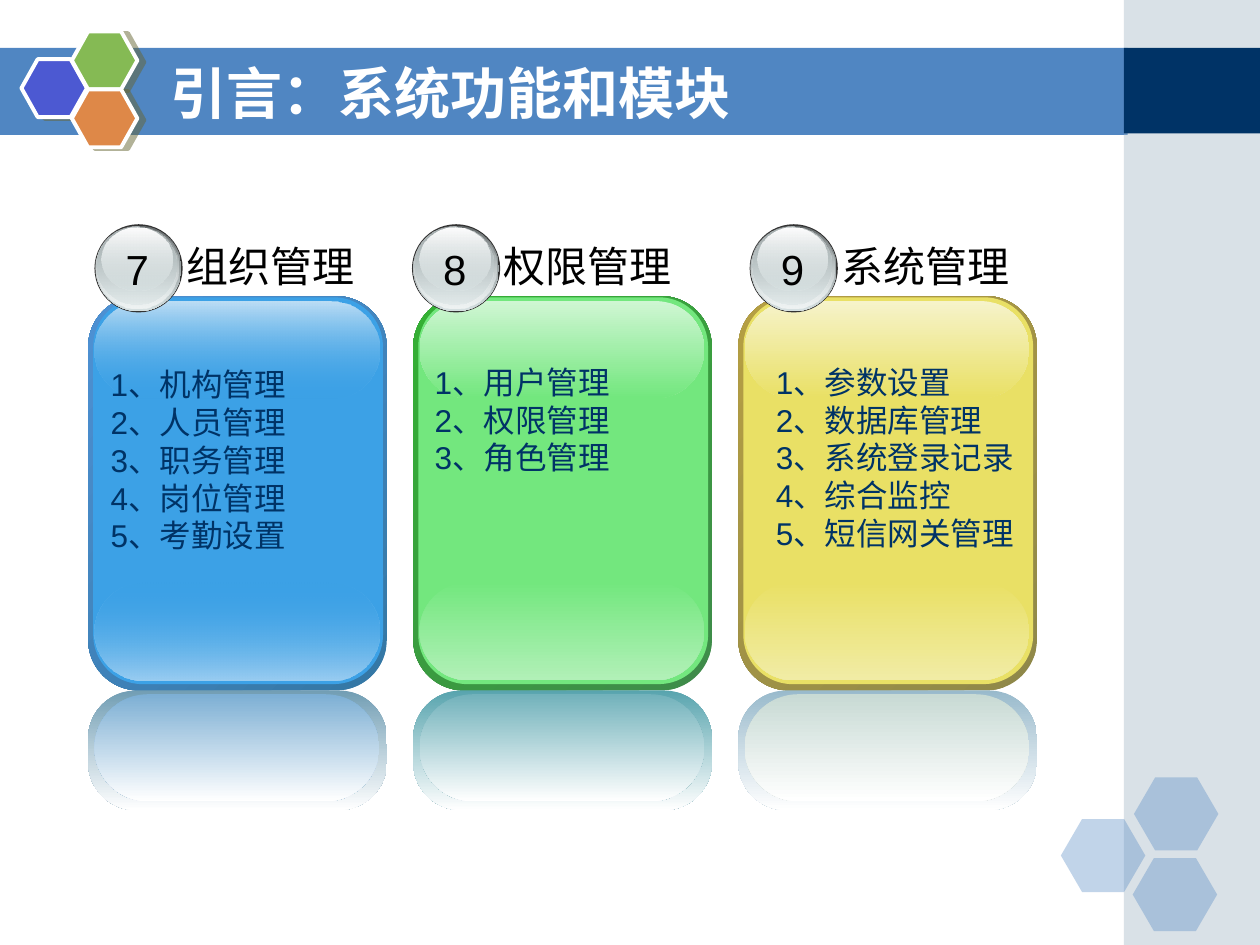
from dataclasses import dataclass
from typing import NamedTuple

from pptx import Presentation
from pptx import util as u
from pptx.dml.color import RGBColor
from pptx.enum import shapes, text
from pptx.oxml import parse_xml
from pptx.oxml.ns import nsdecls, qn
from pptx.oxml.xmlchemy import OxmlElement


class Box(NamedTuple):
    """Left, top, width and height in grid cells."""
    left: float
    top: float
    width: float
    height: float


class Tone(NamedTuple):
    color: str
    alpha: int = 100


@dataclass(frozen=True)
class Theme:
    banner: str = "5086C2"
    navy: str = "003366"
    side: str = "A0B5C4"
    white: str = "FFFFFF"
    black: str = "000000"
    shadow: str = "666633"
    title_size: int = 32
    heading_size: int = 24
    item_size: int = 18
    title_font: str = "DejaVu Sans"
    body_font: str = "Arial"
    asian_font: str = "Noto Sans CJK SC"


@dataclass(frozen=True)
class Palette:
    rim: tuple[Tone, Tone]
    body: str
    low_gloss: str
    high_gloss: str
    gloss_alpha: int
    mirror: str
    mirror_gloss: str


@dataclass(frozen=True)
class Module:
    number: str
    name: str
    items: tuple[str, ...]
    badge_left: float
    items_left: float
    items_top: float
    palette: Palette


class Layer(NamedTuple):
    box: Box
    tones: tuple[Tone, ...]


THEME = Theme()
COLUMNS, ROWS = 10, 7.5
CARD_LEFT, CARD_STEP, CARD_WIDTH = 0.7, 2.58, 2.37
BADGE_TOP = 1.78
KIND = shapes.MSO_SHAPE

MODULES = (
    Module("7", "组织管理",
           ("1、机构管理", "2、人员管理", "3、职务管理", "4、岗位管理", "5、考勤设置"),
           0.75, 0.78, 2.85,
           Palette((Tone("3477A4"), Tone("4E91D4")), "3CA1E6", "9ACDF1", "BDDEF5", 0,
                   "729EB4", "7DAFD4")),
    Module("8", "权限管理", ("1、用户管理", "2、权限管理", "3、角色管理"),
           3.27, 3.35, 2.83,
           Palette((Tone("3F8B4A"), Tone("34B034")), "73E77E", "B1F0B7", "CFF6D3", 100,
                   "58A4AE", "72B2BB")),
    Module("9", "系统管理",
           ("1、参数设置", "2、数据库管理", "3、系统登录记录", "4、综合监控", "5、短信网关管理"),
           5.95, 6.06, 2.83,
           Palette((Tone("8F8849"), Tone("B59F43")), "E9E065", "F1ECA5", "F6F3CA", 100,
                   "99BACC", "C8DAD4")),
)

# Offsets from the badge's top left corner
BADGE_LAYERS = (
    Layer(Box(0, 0, 0.7, 0.7), (Tone("333333"),)),
    Layer(Box(0.01, 0.01, 0.68, 0.68), (Tone("626768"), Tone("D6E1E2"))),
    Layer(Box(0.01, 0.01, 0.66, 0.66), (Tone("D6E1E2", 0), Tone("EFF3F3"))),
    Layer(Box(0.02, 0.02, 0.63, 0.62), (Tone("A8B1B2"), Tone("D6E1E2", 48))),
    Layer(Box(0.06, 0.03, 0.56, 0.5), (Tone("FEFEFE"), Tone("D6E1E2", 38))),
)

prs = Presentation()
prs.slide_width, prs.slide_height = u.Inches(10), u.Inches(7.5)


def place(box: Box) -> tuple[int, int, int, int]:
    """Turn grid cells into slide lengths."""
    column, row = prs.slide_width / COLUMNS, prs.slide_height / ROWS
    return (round(box.left * column), round(box.top * row),
            round(box.width * column), round(box.height * row))


def draw(parent, kind, box: Box, *tones: Tone, angle: int = 90, adjust: float | None = None):
    """Add a shape without outline; two tones make a gradient, angle clockwise."""
    shape = parent.add_shape(kind, *place(box))
    shape.shadow.inherit = False
    if adjust is not None:
        shape.adjustments[0] = adjust
    if len(tones) == 1:
        shape.fill.solid()
        shape.fill.fore_color.rgb = RGBColor.from_string(tones[0].color)
    else:
        shape.fill.gradient()
        shape.fill.gradient_angle = 360 - angle
        for stop, tone in zip(shape.fill.gradient_stops, tones):
            stop.color.rgb = RGBColor.from_string(tone.color)
    for color, tone in zip(shape._element.spPr.iter(qn("a:srgbClr")), tones):
        if tone.alpha < 100:
            alpha = OxmlElement("a:alpha")
            alpha.set("val", str(tone.alpha * 1000))
            color.append(alpha)
    shape.line.fill.background()
    return shape


def write(frame, lines: tuple[str, ...], color: str, align=text.PP_ALIGN.LEFT,
          wrap: bool = True, anchor=text.MSO_ANCHOR.TOP, **font_format) -> None:
    frame_format = {"word_wrap": wrap, "vertical_anchor": anchor,
                    "auto_size": text.MSO_AUTO_SIZE.NONE}
    for key, value in frame_format.items():
        setattr(frame, key, value)
    for index, line in enumerate(lines):
        paragraph = frame.add_paragraph() if index else frame.paragraphs[0]
        paragraph.alignment = align
        run = paragraph.add_run()
        run.text = line
        for key, value in font_format.items():
            setattr(run.font, key, value)
        run.font.color.rgb = RGBColor.from_string(color)
        asian = OxmlElement("a:ea")
        asian.set("typeface", THEME.asian_font)
        run.font._element.append(asian)


def draw_backdrop(canvas) -> None:
    draw(canvas, KIND.RECTANGLE, Box(0, 0.38, 8.95, 0.69), Tone(THEME.banner))
    draw(canvas, KIND.RECTANGLE, Box(8.92, 0, 1.08, ROWS), Tone(THEME.side, 40))
    draw(canvas, KIND.RECTANGLE, Box(8.92, 0.38, 1.08, 0.68), Tone(THEME.navy))
    for left, top in ((8.42, 6.5), (9, 6.17), (8.99, 6.81)):
        draw(canvas, KIND.HEXAGON, Box(left, top, 0.67, 0.58), Tone(THEME.banner, 35),
             adjust=0.29)
    emblem = canvas.add_group_shape().shapes
    for left, top, color in ((0.17, 0.47, "4C59D2"), (0.57, 0.25, "85BA54"),
                             (0.57, 0.71, "DE8848")):
        cell = draw(emblem, KIND.HEXAGON, Box(left, top, 0.52, 0.46), Tone(color), adjust=0.28)
        cell.line.color.rgb = RGBColor.from_string(THEME.white)
        cell.line.width = u.Pt(2.25)
        cell._element.spPr.find(qn("a:effectLst")).append(parse_xml(
            f'<a:outerShdw {nsdecls("a")} dist="{u.Pt(4.1)}" dir="{14 * 60000}" algn="ctr" '
            f'rotWithShape="0"><a:srgbClr val="{THEME.shadow}"><a:alpha val="50000"/>'
            '</a:srgbClr></a:outerShdw>'))


def draw_card(canvas, left: float, hue: Palette) -> None:
    """Draw a glossy panel and its fading reflection."""
    white, clear = Tone(THEME.white), Tone(hue.body, hue.gloss_alpha)
    gloss_left, gloss_width = left + 0.05, 2.26
    for box, tones, angle, corner in (
        (Box(left, 2.35, CARD_WIDTH, 3.13), hue.rim, 225, 0.17),
        (Box(left + 0.04, 2.36, 2.3, 3.07), (Tone(hue.body),), 90, 0.17),
        (Box(gloss_left, 4.62, gloss_width, 0.78), (clear, Tone(hue.low_gloss)), 90, 0.5),
        (Box(gloss_left, 2.39, gloss_width, 0.77), (Tone(hue.high_gloss), clear), 90, 0.5),
        (Box(left, 5.48, CARD_WIDTH, 0.95), (Tone(hue.mirror), white), 90, 0.4),
        (Box(gloss_left, 5.51, gloss_width, 0.85), (Tone(hue.mirror_gloss), white), 90, 0.5),
    ):
        draw(canvas, KIND.ROUNDED_RECTANGLE, box, *tones, angle=angle, adjust=corner)


def draw_heading(canvas, module: Module) -> None:
    """Draw the numbered badge with the module's name beside it."""
    heading = canvas.add_group_shape().shapes
    left = module.badge_left
    for box, tones in BADGE_LAYERS:
        draw(heading, KIND.OVAL,
             box._replace(left=left + box.left, top=BADGE_TOP + box.top), *tones)
    font_format = {"size": u.Pt(THEME.heading_size), "name": THEME.body_font}
    number = heading.add_textbox(*place(Box(left + 0.15, 1.88, 0.38, 0.5)))
    write(number.text_frame, (module.number,), THEME.black, text.PP_ALIGN.CENTER,
          wrap=False, **font_format)
    name = heading.add_textbox(*place(Box(left + 0.63, 1.86, 2.76, 0.5)))
    write(name.text_frame, (module.name,), THEME.black, **font_format)


def main() -> None:
    slide = prs.slides.add_slide(prs.slide_layouts[5])
    canvas, title = slide.shapes, slide.shapes.title
    draw_backdrop(canvas)
    canvas._spTree.append(title._element)  # in front of the banner
    title.left, title.top, title.width, title.height = place(Box(1.25, 0.42, 7.33, 0.62))
    write(title.text_frame, ("引言：系统功能和模块",), THEME.white,
          anchor=text.MSO_ANCHOR.MIDDLE, size=u.Pt(THEME.title_size),
          name=THEME.title_font, bold=True)
    for index, module in enumerate(MODULES):
        draw_card(canvas, CARD_LEFT + index * CARD_STEP, module.palette)
    for module in MODULES:
        draw_heading(canvas, module)
        height = 0.1 + 0.3 * len(module.items)
        items = canvas.add_textbox(*place(Box(module.items_left, module.items_top, 2.25, height)))
        write(items.text_frame, module.items, THEME.navy, size=u.Pt(THEME.item_size),
              name=THEME.body_font)
    prs.save("out.pptx")


if __name__ == "__main__":
    main()
